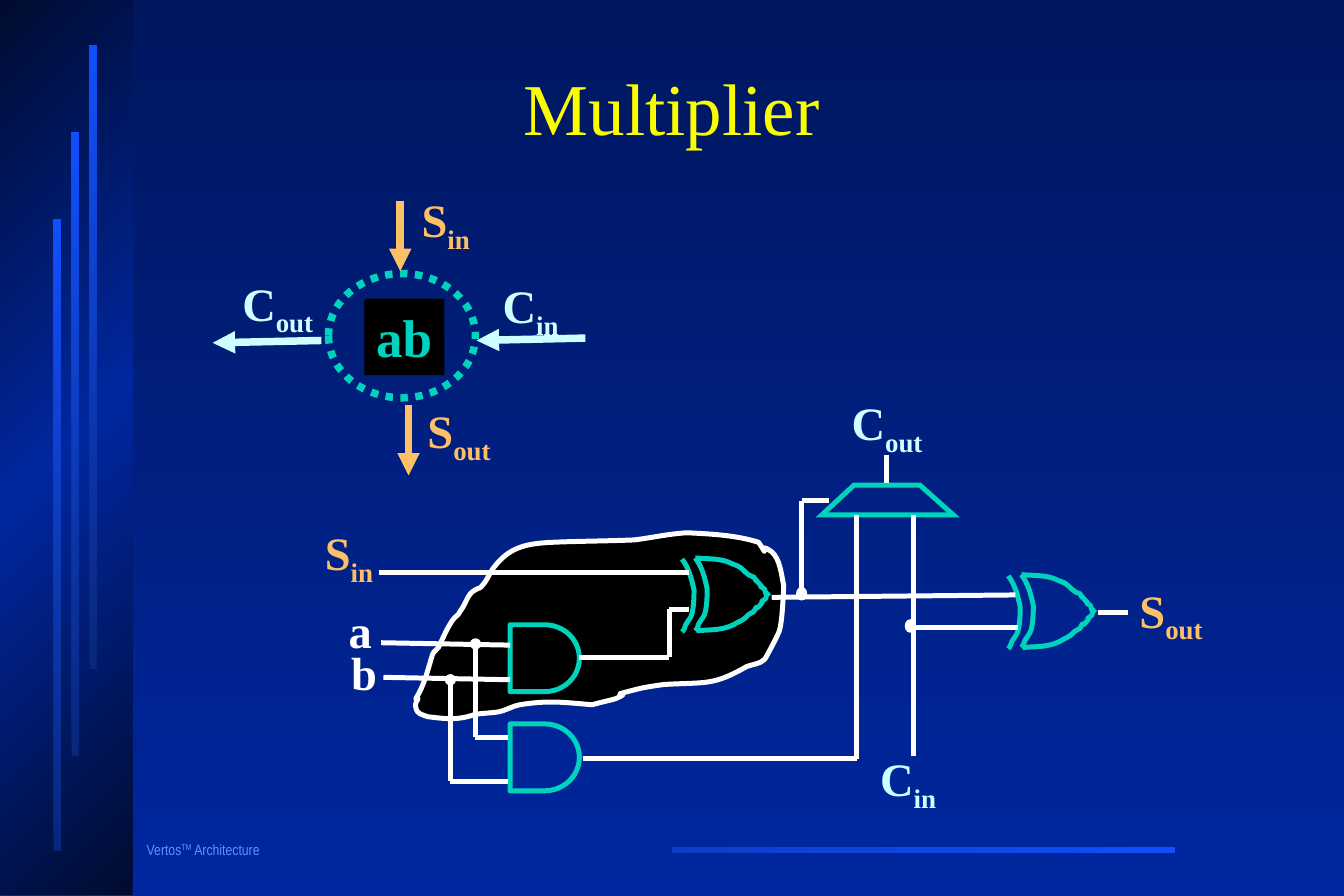
from copy import deepcopy
from dataclasses import dataclass
from itertools import pairwise

from lxml import etree
from pptx import Presentation
from pptx.dml.color import RGBColor
from pptx.enum.dml import MSO_LINE
from pptx.enum.shapes import MSO_CONNECTOR, MSO_SHAPE
from pptx.enum.text import MSO_ANCHOR, MSO_AUTO_SIZE, PP_ALIGN
from pptx.oxml.ns import qn
from pptx.util import Pt

PX = 9144
RECT, OVAL, DELAY = MSO_SHAPE.RECTANGLE, MSO_SHAPE.OVAL, MSO_SHAPE.FLOWCHART_DELAY
LINE, DOTS = MSO_CONNECTOR.STRAIGHT, MSO_LINE.ROUND_DOT
MID, TOP = MSO_ANCHOR.MIDDLE, MSO_ANCHOR.TOP
MIDST, LEFT = PP_ALIGN.CENTER, PP_ALIGN.LEFT
GROW, FIXED = MSO_AUTO_SIZE.SHAPE_TO_FIT_TEXT, MSO_AUTO_SIZE.NONE


@dataclass(frozen=True)
class Theme:
    """Colours, fonts and sizes of the slide."""
    white: str = "FFFFFF"
    black: str = "000000"
    gold: str = "FAFD00"
    sand: str = "FEC066"
    ice: str = "CCFFFF"
    teal: str = "00D2BE"
    mist: str = "618FFD"
    sky: tuple = ("00175F", "00279F")
    panel: tuple = ("000B2F", "00279F", "000B2F")
    bar: tuple = ("08277C", "114FFB")
    rule: tuple = ("114FFB", "0D3EC8")
    serif: str = "Times New Roman"
    narrow: str = "Arial Narrow"
    head: int = 44
    big: int = 32
    label: int = 28
    small: int = 9
    thick: float = 4.5
    thin: int = 3


T = Theme()
WIDTHS = {"Sin": 61, "Sout": 73, "Cin": 67, "Cout": 79}
CLOUD = [
    (1, 139), (8, 128), (11, 115), (15, 102), (16, 99), (19, 98), (20, 96),
    (24, 88), (27, 80), (32, 73), (34, 70), (37, 69), (38, 66),
    (45, 57), (43, 50), (55, 46), (62, 39), (62, 34), (68, 27),
    (81, 11), (96, 9), (115, 8), (138, 7), (161, 7), (184, 6),
    (200, 4), (212, 1), (228, 0), (248, 1), (269, 2), (288, 8),
    (300, 26), (284, 5), (299, 16), (306, 22), (307, 35), (309, 44),
    (309, 45), (308, 76), (305, 83), (304, 86), (294, 105), (293, 106),
    (289, 110), (283, 110), (278, 112), (250, 128), (245, 125), (209, 127),
    (202, 128), (194, 129), (186, 131), (155, 139), (187, 131), (168, 139),
    (165, 140), (151, 143), (149, 144), (124, 142), (113, 140), (88, 144),
    (82, 145), (76, 149), (70, 150), (63, 151), (57, 151), (51, 152),
    (36, 157), (28, 156), (11, 154), (6, 152), (2, 152), (1, 146),
    (0, 139), (6, 139), (1, 139)]
UPPER = [(11, 0), (21, 1), (33, 0), (42, 5), (45, 6), (48, 7), (51, 10),
         (54, 13), (56, 15), (60, 16), (65, 24), (58, 14), (64, 21),
         (71, 28), (61, 21), (69, 26), (70, 30), (69, 29), (72, 31)]
LOWER = [(12, 61), (22, 60), (33, 61), (43, 56), (46, 54), (49, 53), (52, 51),
         (55, 48), (57, 46), (60, 45), (65, 36), (59, 46), (65, 40),
         (71, 33), (62, 40), (70, 34), (71, 30), (70, 32), (73, 29)]
BACK = [(11, 0), (17, 8), (19, 17), (21, 26), (21, 29), (21, 44), (18, 49),
        (17, 51), (15, 53), (14, 55), (14, 56), (14, 57), (13, 58),
        (13, 59), (11, 61), (11, 61)]


def put(obj, **vals):
    """Set each named value on the object."""
    for name, val in vals.items():
        setattr(obj, name, val)


def grade(fill, root, tints, angle):
    """Fill with evenly spaced gradient stops."""
    fill.gradient()
    fill.gradient_angle = angle
    stops = next(root.iter(qn("a:gsLst")))
    for _ in tints[2:]:
        stops.append(deepcopy(stops[0]))
    for i, (stop, tint) in enumerate(zip(fill.gradient_stops, tints)):
        stop.color.rgb = RGBColor.from_string(tint)
        stop.position = i / (len(tints) - 1)


def paint(shape, fill=None, line=None, width=T.thin):
    """Set plain fill and line of a shape."""
    shape.shadow.inherit = False
    for part, tint in ((shape.fill, fill), (shape.line.fill, line)):
        if tint:
            part.solid()
            part.fore_color.rgb = RGBColor.from_string(tint)
        else:
            part.background()
    if line:
        shape.line.width = Pt(width)
    return shape


def bend(shape):
    """Turn each three straight steps of an outline into a cubic curve."""
    steps = list(shape._element.iter(qn("a:lnTo")))
    for trio in zip(*[iter(steps)] * 3):
        curve = etree.Element(qn("a:cubicBezTo"))
        trio[0].addprevious(curve)
        for step in trio:
            curve.append(step[0])
            step.getparent().remove(step)


@dataclass
class Pad:
    """A box on the slide that holds parts by local px."""
    shapes: object
    x: int
    y: int
    w: int
    h: int

    def sub(self, x, y, w, h):
        """Return a box inside this one."""
        return Pad(self.shapes, self.x + x, self.y + y, w, h)

    def spot(self, x, y):
        """Turn a local point into EMU."""
        return (self.x + x) * PX, (self.y + y) * PX

    def form(self, kind, **look):
        """Fill the box with a preset shape."""
        shape = self.shapes.add_shape(kind, *self.spot(0, 0), self.w * PX, self.h * PX)
        return paint(shape, **look)

    def blend(self, tints):
        """Fill the box with a slanted gradient."""
        shape = self.form(RECT)
        grade(shape.fill, shape._element, tints, 135)

    def draw(self, points, close=False, **look):
        """Draw an outline through local points."""
        first, *rest = [self.spot(*p) for p in points]
        pen = self.shapes.build_freeform(*first)
        pen.add_line_segments(rest, close=close)
        return paint(pen.convert_to_shape(), **look)

    def wire(self, *points, tint=T.white, width=T.thin, arrow=False):
        """Join local points by straight lines."""
        for start, end in pairwise(points):
            wire = self.shapes.add_connector(LINE, *self.spot(*start), *self.spot(*end))
            wire.line.color.rgb = RGBColor.from_string(tint)
            wire.line.width = Pt(width)
            props = wire._element.spPr
            if arrow:
                etree.SubElement(props.find(qn("a:ln")), qn("a:tailEnd"), type="triangle")
            etree.SubElement(props, qn("a:effectLst"))

    def text(self, runs, tint, size=T.label, face=T.serif, bold=True, wrap=False,
             fit=GROW, anchor=TOP, align=LEFT, space=1.0):
        """Write runs of text with raised or lowered parts."""
        box = self.shapes.add_textbox(*self.spot(0, 0), self.w * PX, self.h * PX)
        put(box.text_frame, auto_size=fit, word_wrap=wrap, vertical_anchor=anchor)
        para = box.text_frame.paragraphs[0]
        put(para, alignment=align, line_spacing=space)
        for words, shift in runs:
            run = para.add_run()
            run.text = words
            put(run.font, name=face, size=Pt(size), bold=bold)
            run.font.color.rgb = RGBColor.from_string(tint)
            if shift:
                run._r.get_or_add_rPr().set("baseline", str(shift * 1000))
        return box

    def label(self, name, x, y):
        """Write a signal name with its lowered tail."""
        tint = T.sand if name[0] == "S" else T.ice
        self.sub(x, y, WIDTHS[name], 63).text([(name[0], 0), (name[1:], -25)], tint)


def frame(pad):
    """Place the side panel, its bars and the footer."""
    pad.sub(113, 700, 150, 23).text(
        [("Vertos", 0), ("TM", 30), (" Architecture", 0)], T.mist, size=T.small,
        face=T.narrow, bold=False, wrap=True, space=0.9)
    pad.sub(563, 709, 421, 5).blend(T.rule)
    pad.sub(0, 0, 111, 749).blend(T.panel)
    for i, tall in enumerate((528, 522, 522)):
        pad.sub(45 + 15 * i, 184 - 73 * i, 6, tall).blend(T.bar)


def title(pad):
    """Write the title in the middle of its box."""
    pad.text([("Multiplier", 0)], T.gold, size=T.head, bold=False, wrap=True,
             fit=FIXED, anchor=MID, align=MIDST, space=0.85)


def cell(pad):
    """Draw the cell symbol with its four signals."""
    ring = pad.sub(97, 74, 123, 104).form(OVAL, line=T.teal, width=T.thick)
    ring.line.dash_style = DOTS
    for tint, start, end in ((T.sand, (157, 13), (157, 72)), (T.sand, (164, 184), (164, 243)),
                             (T.ice, (91, 130), (0, 132)), (T.ice, (312, 128), (221, 130))):
        pad.wire(start, end, tint=tint, width=T.thick, arrow=True)
    for spot in (("Sin", 165, 0), ("Cout", 15, 70), ("Cin", 233, 72), ("Sout", 170, 177)):
        pad.label(*spot)
    paint(pad.sub(127, 95, 67, 64).text([("ab", 0)], T.teal, size=T.big), fill=T.black)


def xor(pad):
    """Draw an XOR gate."""
    for curve in (UPPER, LOWER, BACK, [(x - 11, y + 1) for x, y in BACK]):
        bend(pad.draw(curve, line=T.teal))


def logic(pad):
    """Draw the gates, wires and labels of the circuit."""
    bend(pad.sub(85, 121, 310, 157).draw(CLOUD, close=True, fill=T.black, line=T.white))
    for x, y in ((309, 142), (582, 156)):
        xor(pad.sub(x, y, 73, 62))
    for y in (198, 281):
        pad.sub(165, y, 58, 56).form(DELAY, line=T.teal)
    mux = pad.sub(426, 81, 110, 25).draw([(0, 25), (110, 25), (82, 0), (27, 0)],
                                         close=True, line=T.teal)
    etree.SubElement(mux._element.spPr.find(qn("a:ln")), qn("a:miter"), lim="800000")
    for path in (
            [(57, 213), (165, 215)], [(59, 242), (165, 244)],
            [(503, 106), (503, 308)], [(384, 175), (588, 173)],
            [(503, 200), (590, 200)], [(409, 173), (409, 94), (432, 94)],
            [(223, 225), (298, 225), (298, 185), (315, 185)],
            [(55, 154), (315, 154)], [(657, 188), (682, 188)], [(480, 79), (480, 56)],
            [(455, 106), (455, 173)], [(455, 171), (455, 227)],
            [(226, 310), (455, 310), (455, 223)],
            [(115, 244), (115, 329), (163, 329)], [(136, 215), (136, 292), (163, 292)]):
        pad.wire(*path)
    for x, y, h in ((496, 194, 10), (111, 240, 8), (405, 167, 10), (132, 210, 8)):
        pad.sub(x, y, 8, h).form(OVAL, fill=T.white, line=T.white, width=1)
    for spot in (("Sin", 0, 109), ("Sout", 682, 157), ("Cin", 465, 298), ("Cout", 441, 0)):
        pad.label(*spot)
    for name, x, y, w in (("a", 20, 174, 39), ("b", 22, 209, 41)):
        pad.sub(x, y, w, 57).text([(name, 0)], T.white)


def main():
    """Build and save the slide."""
    deck = Presentation()
    put(deck, slide_width=1125 * PX, slide_height=750 * PX)
    slide = deck.slides.add_slide(deck.slide_layouts[6])
    grade(slide.background.fill, slide._element, T.sky, 270)
    page = Pad(slide.shapes, 0, 0, 1125, 750)
    frame(page)
    title(page.sub(116, 32, 893, 125))
    cell(page.sub(178, 155, 312, 245))
    logic(page.sub(262, 325, 755, 361))
    deck.save("out.pptx")


if __name__ == "__main__":
    main()
